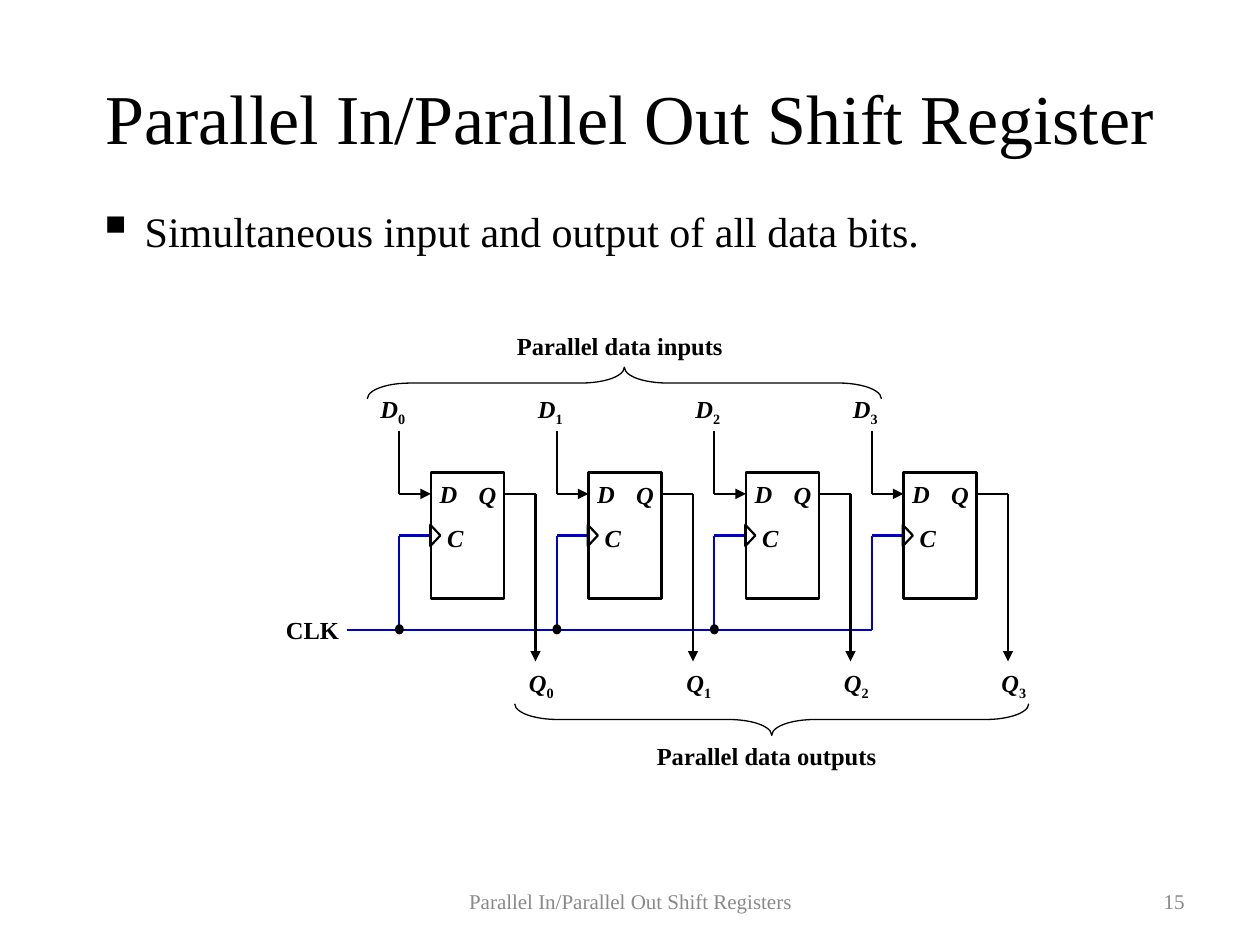
from dataclasses import dataclass

from lxml.etree import SubElement
from pptx import Presentation
from pptx.dml.color import RGBColor
from pptx.enum.shapes import MSO_CONNECTOR, MSO_SHAPE as Shape
from pptx.enum.text import MSO_ANCHOR as Anchor, MSO_AUTO_SIZE as Fit, PP_ALIGN as Align
from pptx.oxml.ns import qn
from pptx.util import Inches, Pt


@dataclass(frozen=True)
class Theme:
    font: str = "Times New Roman"
    ink: str = "000000"
    clock: str = "0000CC"
    muted: str = "898989"
    title: float = 40
    body: float = 24
    label: float = 14
    footer: float = 12
    wire: float = 1.25
    box: float = 1.5
    thin: float = 0.75


THEME = Theme()
STAGES = 4
PITCH = 1.25
DATA_Y, CLOCK_Y, BUS_Y, OUT_Y = 3.92, 4.25, 5, 5.25


@dataclass(frozen=True)
class Label:
    text: str
    x: float
    y: float
    w: float
    h: float
    size: float = THEME.label
    color: str = THEME.ink
    bold: bool = False
    italic: bool = False
    sub: str = ""
    align: Align = Align.LEFT
    anchor: Anchor = Anchor.TOP
    wrap: bool = True
    before: float = 0


@dataclass(frozen=True)
class Wire:
    x1: float
    y1: float
    x2: float
    y2: float
    color: str = THEME.ink
    arrow: bool = False


@dataclass(frozen=True)
class Outline:
    kind: Shape
    x: float
    y: float
    w: float
    h: float
    weight: float
    rotation: float = 0
    filled: bool = False


def add_label(slide, label: Label):
    sp = slide.shapes.add_textbox(*map(Inches, (label.x, label.y, label.w, label.h)))
    tf = sp.text_frame
    tf.word_wrap = label.wrap
    tf.vertical_anchor = label.anchor
    tf.auto_size = Fit.SHAPE_TO_FIT_TEXT if label.size == THEME.label else Fit.NONE
    p = tf.paragraphs[0]
    p.alignment = label.align
    p.space_before = Pt(label.before)
    p.font.name, p.font.size = THEME.font, Pt(label.size)
    p.font.bold = label.bold
    p.font.color.rgb = RGBColor.from_string(label.color)
    r = p.add_run()
    r.text, r.font.italic = label.text, label.italic
    if label.sub:
        r = p.add_run()
        r.text = label.sub
        r.font._element.set("baseline", "-25000")
    return p


def add_bullet(p, indent: float) -> None:
    ppr = p._p.get_or_add_pPr()
    ppr.set("marL", str(Inches(indent)))
    ppr.set("indent", str(-Inches(indent)))
    size = ppr.makeelement(qn("a:buSzPct"), {"val": "120000"})
    char = ppr.makeelement(qn("a:buChar"), {"char": "▪"})
    ppr.find(qn("a:defRPr")).addprevious(size)
    size.addnext(char)


def add_wire(slide, wire: Wire) -> None:
    ends = map(Inches, (wire.x1, wire.y1, wire.x2, wire.y2))
    sp = slide.shapes.add_connector(MSO_CONNECTOR.STRAIGHT, *ends)
    sp.line.width = Pt(THEME.wire)
    sp.line.color.rgb = RGBColor.from_string(wire.color)
    if wire.arrow:
        SubElement(sp.line._get_or_add_ln(), qn("a:tailEnd"), type="triangle")
    SubElement(sp._element.spPr, qn("a:effectLst"))


def add_outline(slide, item: Outline):
    sp = slide.shapes.add_shape(item.kind, *map(Inches, (item.x, item.y, item.w, item.h)))
    sp.shadow.inherit = False
    sp.rotation = item.rotation
    sp.line.width = Pt(item.weight)
    sp.line.color.rgb = RGBColor.from_string(THEME.ink)
    if item.filled:
        sp.fill.solid()
        sp.fill.fore_color.rgb = RGBColor.from_string(THEME.ink)
    else:
        sp.fill.background()
    return sp


def add_brace(slide, x: float, y: float, rotation: float) -> None:
    sp = add_outline(slide, Outline(Shape.LEFT_BRACE, x, y, 0.25, 4.08, THEME.thin, rotation))
    sp.adjustments[0] = 1.36


def add_stage(slide, index: int) -> None:
    x = 3.42 + index * PITCH
    feed, drop = x - 0.25, x + 0.83
    wires = (
        Wire(feed, 3.42, feed, DATA_Y),
        Wire(feed, DATA_Y, x, DATA_Y, arrow=True),
        Wire(feed, CLOCK_Y, x, CLOCK_Y, THEME.clock),
        Wire(feed, CLOCK_Y, feed, BUS_Y, THEME.clock),
        Wire(x + 0.58, DATA_Y, drop, DATA_Y),
        Wire(drop, DATA_Y, drop, OUT_Y, arrow=True),
    )
    for wire in wires:
        add_wire(slide, wire)
    add_outline(slide, Outline(Shape.RECTANGLE, x, 3.75, 0.58, 1, THEME.box))
    add_outline(slide, Outline(Shape.ISOSCELES_TRIANGLE, x - 0.05, 4.21, 0.17, 0.08, THEME.wire, 90))
    if index < STAGES - 1:
        add_outline(slide, Outline(Shape.OVAL, feed - 0.03, 4.96, 0.06, 0.07, THEME.thin, filled=True))
    pins = (
        ("D", x - 0.03, 3.75, 0.34, ""),
        ("C", x + 0.03, 4.1, 0.33, ""),
        ("Q", x + 0.28, 3.76, 0.33, ""),
        ("D", x - 0.5, 3.08, 0.4, str(index)),
        ("Q", x + 0.68, 5.25, 0.4, str(index)),
    )
    for text, left, top, width, sub in pins:
        height = 0.37 if sub else 0.34
        add_label(slide, Label(text, left, top, width, height, bold=True, italic=True, sub=sub, wrap=False))


def main() -> None:
    """Build the parallel in/parallel out shift register slide."""
    prs = Presentation()
    prs.slide_width, prs.slide_height = Inches(10), Inches(7.5)
    slide = prs.slides.add_slide(prs.slide_layouts[6])
    add_label(slide, Label("Parallel In/Parallel Out Shift Register", 0.5, 0.3, 9, 1.25, THEME.title,
                           align=Align.CENTER, anchor=Anchor.MIDDLE))
    bullet = add_label(slide, Label("Simultaneous input and output of all data bits.",
                                    0.67, 1.58, 8.42, 0.58, THEME.body, before=12))
    add_bullet(bullet, 0.38)
    footers = (
        ("Parallel In/Parallel Out Shift Registers", 3.42, 3.17, Align.CENTER),
        ("15", 7.17, 2.33, Align.RIGHT),
    )
    for text, x, w, align in footers:
        add_label(slide, Label(text, x, 6.95, w, 0.4, THEME.footer, THEME.muted,
                               align=align, anchor=Anchor.MIDDLE, before=7.5))
    add_wire(slide, Wire(2.75, BUS_Y, 6.92, BUS_Y, THEME.clock))
    add_label(slide, Label("CLK", 2.17, 4.83, 0.62, 0.34, bold=True, wrap=False))
    for index in range(STAGES):
        add_stage(slide, index)
    captions = (
        ("Parallel data inputs", 3.92, 2.58, 2),
        ("Parallel data outputs", 5, 5.83, 2.17),
    )
    for text, x, y, w in captions:
        add_label(slide, Label(text, x, y, w, 0.34, bold=True, align=Align.CENTER, before=8.8))
    add_brace(slide, 4.83, 1, 90)
    add_brace(slide, 6, 3.67, 270)
    prs.save("out.pptx")


if __name__ == "__main__":
    main()
